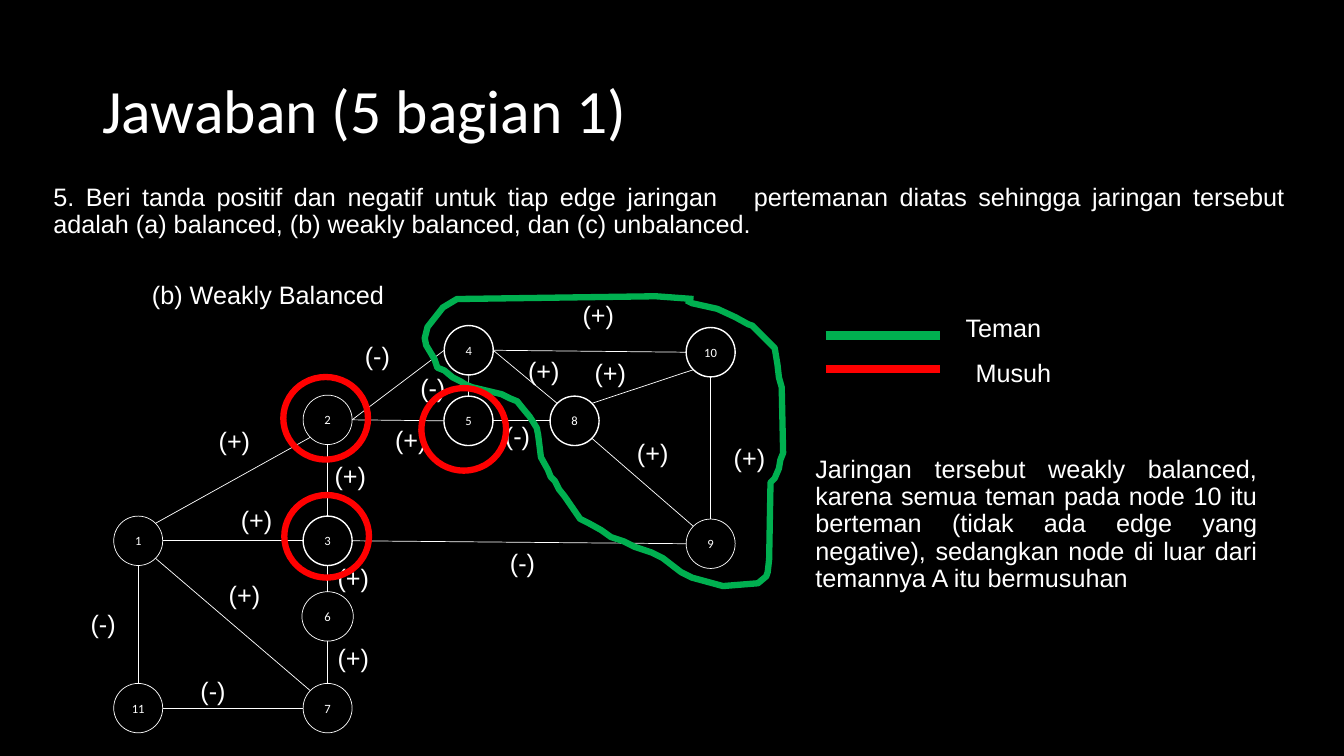
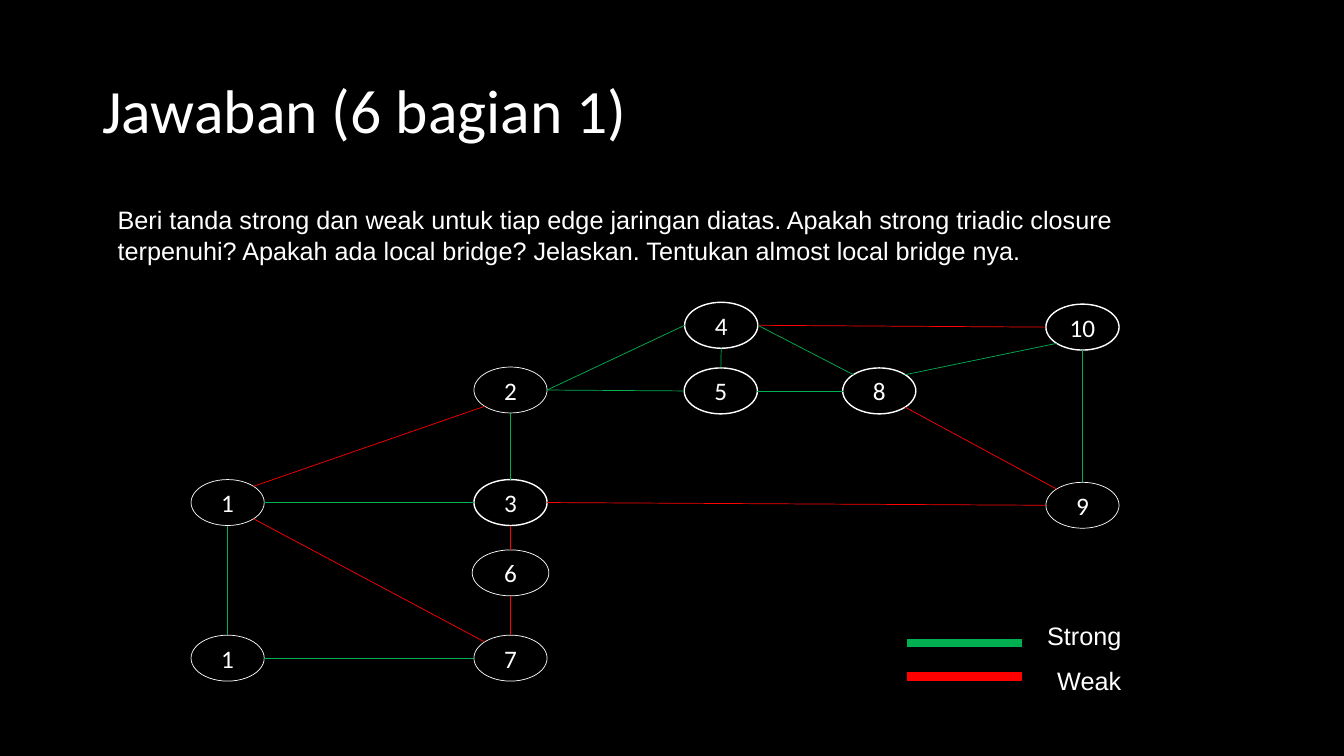
import pptx
import pptx.util
import pptx.dml.color
import pptx.enum.shapes
import pptx.enum.text
import pptx.oxml
import pptx.oxml.ns

Pt = pptx.util.Pt
ALIGN = pptx.enum.text.PP_ALIGN
SHAPE = pptx.enum.shapes.MSO_SHAPE
COLORS = {"back": "000000", "text": "FFFFFF", "green": "00B050", "red": "FF0000"}
SANS, HEAD = "Arial", "Calibri"
BASE = (444, 291)
SIZE = (35, 35.3)
DIAG = 0.707
SIDES = {
    "N": (0, -1), "S": (0, 1), "E": (1, 0), "W": (-1, 0),
    "NE": (DIAG, -DIAG), "NW": (-DIAG, -DIAG),
    "SE": (DIAG, DIAG), "SW": (-DIAG, DIAG),
}
NODES = {
    "1": (17.3, 153.7, 0.5), "2": (152.6, 67.3, 0.5), "3": (152.6, 153.7, 1),
    "4": (253.4, 17.6, 1), "5": (253.2, 68, 1), "6": (152.6, 207.7, 0.5),
    "7": (152.6, 273.2, 0.5), "8": (329, 68, 1), "9": (426.2, 155.8, 0.5),
    "10": (426.2, 19, 1), "11": (17.3, 273.2, 0.5),
}
EDGES = [
    ("1", "NE", "2", "SW", "red", "(+)", 67.7, 67.7),
    ("1", "E", "3", "W", "green", "(+)", 83.5, 123.8),
    ("4", "E", "10", "W", "red", "(+)", 327.6, -22.3),
    ("2", "E", "4", "W", "green", "(-)", 172.1, 7.2),
    ("3", "E", "9", "W", "red", "(-)", 275.8, 154.8),
    ("10", "S", "9", "N", "green", "(+)", 435.6, 79.9),
    ("2", "E", "5", "W", "green", "(+)", 193.7, 67),
    ("5", "E", "8", "W", "green", "(-)", 272.2, 64.1),
    ("5", "N", "4", "S", "green", "(-)", 211.7, 29.5),
    ("4", "E", "8", "NW", "green", "(+)", 288.7, 17.3),
    ("3", "N", "2", "S", "green", "(+)", 150.5, 92.9),
    ("11", "N", "1", "S", "green", "(-)", -23.8, 198.7),
    ("11", "E", "7", "W", "green", "(-)", 54.7, 246.2),
    ("7", "N", "6", "S", "red", "(+)", 152.6, 222.5),
    ("3", "S", "6", "N", "red", "(+)", 152.6, 165.6),
    ("8", "SE", "9", "NW", "red", "(+)", 366.5, 76.3),
    ("8", "NE", "10", "SW", "green", "(+)", 336.2, 19.4),
    ("1", "SE", "7", "NW", "red", "(+)", 74.9, 177.8),
]
RINGS = [(121, 36.7), (219.6, 44.6), (121.7, 121)]
LASSO = [
    (414, -19), (387, -21), (245, -19), (235, -13), (224, 1), (222, 9),
    (223, 14), (229, 24), (231, 30), (236, 32), (242, 37), (248, 40),
    (251, 42), (256, 44), (277, 49), (283, 52), (288, 54), (292, 59),
    (297, 65), (302, 73), (303, 78), (305, 94), (310, 103), (312, 108),
    (315, 111), (318, 117), (322, 122), (333, 138), (339, 141), (348, 146),
    (355, 151), (364, 154), (372, 158), (384, 162), (392, 166), (405, 176),
    (413, 180), (435, 186), (460, 184), (466, 179), (467, 176), (468, 167),
    (469, 112), (472, 109), (475, 102), (476, 96), (478, 91), (477, 44),
    (475, 37), (474, 28), (472, 16), (462, 6), (456, 0), (453, -1),
    (444, -6), (431, -12), (413, -16), (409, -18),
]


def color(name):
    return pptx.dml.color.RGBColor.from_string(COLORS[name])


def style(para, size, font):
    for run in para.runs:
        run.font.size = Pt(size)
        run.font.name = font
        run.font.color.rgb = color("text")


def write(slide, box, text, size=18, font=SANS, align=ALIGN.LEFT, space=None, tab=None):
    frame = slide.shapes.add_textbox(*map(Pt, box)).text_frame
    frame.word_wrap = True
    frame.text = text
    para = frame.paragraphs[0]
    if tab:
        stops = pptx.oxml.parse_xml(
            f'<a:tabLst {pptx.oxml.ns.nsdecls("a")}><a:tab pos="{Pt(tab)}" algn="l"/></a:tabLst>')
        para._p.get_or_add_pPr().append(stops)
    para.alignment = align
    if space:
        para.line_spacing = space
    style(para, size, font)
    return frame


def line(slide, start, end, hue, width):
    link = slide.shapes.add_connector(
        pptx.enum.shapes.MSO_CONNECTOR.STRAIGHT, *map(Pt, (*start, *end)))
    link.line.color.rgb = color(hue)
    link.line.width = Pt(width)
    link._element.spPr.append(
        pptx.oxml.parse_xml(f'<a:effectLst {pptx.oxml.ns.nsdecls("a")}/>'))


def trace(shape, hue, width):
    shape.shadow.inherit = False
    shape.fill.background()
    shape.line.color.rgb = color(hue)
    shape.line.width = Pt(width)


def oval(slide, box, hue, width):
    shape = slide.shapes.add_shape(SHAPE.OVAL, *map(Pt, box))
    trace(shape, hue, width)
    return shape


def node(slide, box, text, width, size):
    frame = oval(slide, box, "text", width).text_frame
    frame.margin_left = frame.margin_right = 0
    frame.margin_top = frame.margin_bottom = 0
    frame.word_wrap = False
    frame.vertical_anchor = pptx.enum.text.MSO_ANCHOR.MIDDLE
    frame.text = text
    frame.paragraphs[0].alignment = ALIGN.CENTER
    style(frame.paragraphs[0], size, HEAD)


def graph(slide, box, size, tinted=False, names=None):
    left, top, width, height = box
    wide, high = width / BASE[0], height / BASE[1]
    spots = {}
    for key, (x, y, weight) in NODES.items():
        w = (SIZE[0] + (1.7 if key == "6" else 0)) * wide
        h = SIZE[1] * high
        x, y = left + x * wide, top + y * high
        spots[key] = (x, y, w / 2, h / 2)
        text = (names or {}).get(key, key)
        node(slide, (x - w / 2, y - h / 2, w, h), text, weight, size)

    def port(key, side):
        x, y, w, h = spots[key]
        across, down = SIDES[side]
        return x + across * w, y + down * h

    for first, out, last, into, hue, *sign in EDGES:
        line(slide, port(first, out), port(last, into), hue if tinted else "text", 0.5)


def signs(slide, left, top):
    for *ends, sign, x, y in EDGES:
        write(slide, (left + x, top + y, 46, 29), sign)


def groups(slide, left, top):
    pen = slide.shapes.build_freeform(*LASSO[0], scale=Pt(1))
    pen.add_line_segments(LASSO[1:], close=False)
    trace(pen.convert_to_shape(Pt(left), Pt(top)), "green", 4.5)
    for x, y in RINGS:
        oval(slide, (left + x, top + y, 60.5, 59), "red", 4.5)


def legend(slide, left, top, names):
    for i, (name, hue) in enumerate(zip(names, ("green", "red"))):
        y = top + i * 23.8
        line(slide, (left, y), (left + 82, y), hue, 6)
        write(slide, (left + 92.9 + i * 7.2, top - 20.2 + i * 32.4, 82, 29), name)


def start(deck, title):
    slide = deck.slides.add_slide(deck.slide_layouts[6])
    slide.background.fill.solid()
    slide.background.fill.fore_color.rgb = color("back")
    frame = write(slide, (66, 28.8, 828, 104.4), title, 44, HEAD, space=0.9)
    frame.vertical_anchor = pptx.enum.text.MSO_ANCHOR.MIDDLE
    return slide


def balance(deck):
    slide = start(deck, "Jawaban (5 bagian 1)")
    write(slide, (31, 128.2, 893.5, 49.7),
          "5. Beri tanda positif dan negatif untuk tiap edge jaringan \tpertemanan diatas "
          "sehingga jaringan tersebut adalah (a) balanced, (b) weakly balanced, dan (c) unbalanced.",
          align=ALIGN.JUSTIFY, space=0.9, tab=21.6)
    write(slide, (101.5, 195.8, 191.5, 29), "(b) Weakly Balanced")
    left, top = 81.4, 232.6
    graph(slide, (left, top, *BASE), 9)
    signs(slide, left, top)
    groups(slide, left, top)
    legend(slide, 589.7, 239.8, ("Teman", "Musuh"))
    write(slide, (575.3, 322.6, 329.8, 120.2),
          "Jaringan tersebut weakly balanced, karena semua teman pada node 10 itu berteman "
          "(tidak ada edge yang negative), sedangkan node di luar dari temannya A itu bermusuhan",
          align=ALIGN.JUSTIFY, space=0.9)


def closure(deck):
    slide = start(deck, "Jawaban (6 bagian 1)")
    write(slide, (77, 142.6, 763.2, 51),
          "Beri tanda strong dan weak untuk tiap edge jaringan diatas. Apakah strong triadic "
          "closure terpenuhi? Apakah ada local bridge? Jelaskan. Tentukan almost local bridge nya.")
    graph(slide, (136.8, 216, 663, 270.7), 18, tinted=True, names={"11": "1"})
    legend(slide, 648, 459.4, ("Strong", "Weak"))


def main():
    deck = pptx.Presentation()
    deck.slide_width, deck.slide_height = Pt(960), Pt(540)
    balance(deck)
    closure(deck)
    deck.save("out.pptx")


if __name__ == "__main__":
    main()
